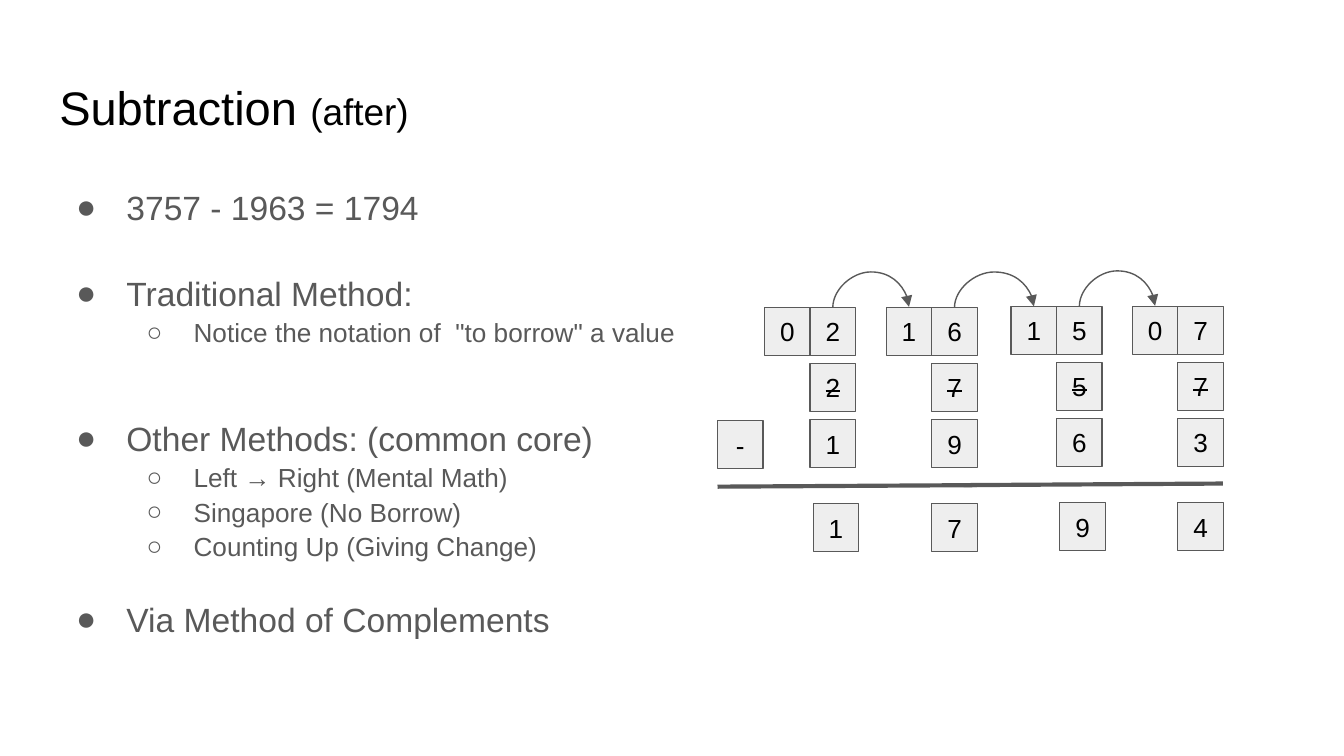
"""Build a slide showing column subtraction with borrowing."""
from dataclasses import dataclass
from itertools import pairwise

import pptx
import pptx.dml.color
import pptx.enum.shapes
import pptx.enum.text
import pptx.oxml
import pptx.oxml.ns
import pptx.util
from pptx.util import Cm

BLACK = pptx.dml.color.RGBColor(0x00, 0x00, 0x00)
GREY = pptx.dml.color.RGBColor(0x59, 0x59, 0x59)
LIGHT = pptx.dml.color.RGBColor(0xEE, 0xEE, 0xEE)
FONT = "Arial"
BOX_W, BOX_H = 0.86, 0.91
ROW_STEP, RESULT_DROP = 1.06, 3.71
ARC_RISE = 0.67


@dataclass
class Item:
    text: str
    level: int = 0
    gap: float = 0


@dataclass
class Column:
    left: float
    top: float
    borrow: str
    digit: str
    struck: str
    taken: str
    result: str
    shift: float = 0


ITEMS = [
    Item("3757 - 1963 = 1794"),
    Item("Traditional Method:", gap=22.7),
    Item('Notice the notation of  "to borrow" a value', 1),
    Item("Other Methods: (common core)", gap=35.4),
    Item("Left → Right (Mental Math)", 1),
    Item("Singapore (No Borrow)", 1),
    Item("Counting Up (Giving Change)", 1),
    Item("Via Method of Complements", gap=17.7),
]
COLUMNS = [
    Column(15.31, 5.81, "0", "2", "2", "1", "1", 0.06),
    Column(17.61, 5.81, "1", "6", "7", "9", "7"),
    Column(19.97, 5.79, "1", "5", "5", "6", "9", 0.06),
    Column(22.26, 5.79, "0", "7", "7", "3", "4"),
]


def style(r, size: float, color) -> None:
    r.font.name = FONT
    r.font.size = pptx.util.Pt(size)
    r.font.color.rgb = color


def set_frame(tf, anchor) -> None:
    tf.word_wrap = True
    tf.auto_size = pptx.enum.text.MSO_AUTO_SIZE.NONE
    tf.vertical_anchor = anchor
    tf.margin_left = tf.margin_right = tf.margin_top = tf.margin_bottom = Cm(0.25)


def add_xml(parent, xml: str) -> None:
    ns = pptx.oxml.ns.nsdecls("a")
    parent.append(pptx.oxml.parse_xml(xml.replace("/>", f" {ns}/>", 1)))


def add_title(s) -> None:
    sp = s.shapes.title
    sp.left, sp.top, sp.width, sp.height = Cm(0.87), Cm(1.24), Cm(23.67), Cm(1.59)
    set_frame(sp.text_frame, pptx.enum.text.MSO_ANCHOR.TOP)
    p = sp.text_frame.paragraphs[0]
    p.alignment = pptx.enum.text.PP_ALIGN.LEFT
    p.line_spacing = 1.0
    for text, size in (("Subtraction ", 25.2), ("(after)", 19.8)):
        r = p.add_run()
        r.text = text
        style(r, size, BLACK)


def add_list(s, items: list[Item]) -> None:
    sp = s.shapes.add_textbox(Cm(0.87), Cm(3.2), Cm(23.67), Cm(9.49))
    tf = sp.text_frame
    set_frame(tf, pptx.enum.text.MSO_ANCHOR.TOP)
    tf.text = "\n".join(item.text for item in items)
    for p, item in zip(tf.paragraphs, items):
        p.level = item.level
        p.line_spacing = 1.1
        p.space_before = pptx.util.Pt(item.gap)
        style(p.runs[0], 14 if item.level else 18, GREY)
        pPr = p._p.get_or_add_pPr()
        pPr.set("marL", str(Cm(1.27 * (item.level + 1))))
        pPr.set("indent", str(-Cm(0.89 if item.level else 0.95)))
        bullet_color = pptx.oxml.ns.qn("a:buClr")
        add_xml(pPr, "<a:buClr/>")
        add_xml(pPr.find(bullet_color), f'<a:srgbClr val="{GREY}"/>')
        add_xml(pPr, f'<a:buFont typeface="{FONT}"/>')
        add_xml(pPr, f'<a:buChar char="{"●○"[item.level]}"/>')


def add_box(s, left: float, top: float, text: str, struck: bool = False) -> None:
    sp = s.shapes.add_shape(
        pptx.enum.shapes.MSO_SHAPE.RECTANGLE, Cm(left), Cm(top), Cm(BOX_W), Cm(BOX_H))
    sp.shadow.inherit = False
    sp.fill.solid()
    sp.fill.fore_color.rgb = LIGHT
    sp.line.color.rgb = GREY
    sp.line.width = pptx.util.Pt(0.75)
    tf = sp.text_frame
    set_frame(tf, pptx.enum.text.MSO_ANCHOR.MIDDLE)
    tf.text = text
    p = tf.paragraphs[0]
    p.alignment = pptx.enum.text.PP_ALIGN.CENTER
    style(p.runs[0], 14, BLACK)
    if struck:
        p.runs[0]._r.get_or_add_rPr().set("strike", "sngStrike")


def add_line(s, kind, x1: float, y1: float, x2: float, y2: float, width: float):
    c = s.shapes.add_connector(kind, Cm(x1), Cm(y1), Cm(x2), Cm(y2))
    c.line.color.rgb = GREY
    c.line.width = pptx.util.Pt(width)
    add_xml(c._element.spPr, "<a:effectLst/>")
    return c


def add_arc(s, a: Column, b: Column) -> None:
    x1, x2 = a.left + BOX_W / 2, b.left - BOX_W / 2
    climb = max(a.top - b.top, 0.01)
    mid_x, mid_y = (x1 + x2) / 2, a.top - climb / 2
    half_w, half_h = climb / 2, (x2 - x1) / 2
    c = add_line(s, pptx.enum.shapes.MSO_CONNECTOR.CURVE, mid_x - half_w,
                 mid_y - half_h, mid_x + half_w, mid_y + half_h, 0.75)
    spPr = c._element.spPr
    spPr.find(pptx.oxml.ns.qn("a:xfrm")).set("rot", "16200000")
    guides = spPr.find(".//" + pptx.oxml.ns.qn("a:avLst"))
    bend = round(ARC_RISE / climb * 100000)
    add_xml(guides, f'<a:gd name="adj1" fmla="val {bend}"/>')
    add_xml(c.line._get_or_add_ln(), '<a:tailEnd type="triangle"/>')


def add_column(s, col: Column) -> None:
    add_box(s, col.left - BOX_W, col.top, col.borrow)
    add_box(s, col.left, col.top, col.digit)
    add_box(s, col.left, col.top + ROW_STEP, col.struck, struck=True)
    add_box(s, col.left, col.top + 2 * ROW_STEP, col.taken)
    add_box(s, col.left + col.shift, col.top + RESULT_DROP, col.result)


def main() -> None:
    prs = pptx.Presentation()
    prs.slide_width, prs.slide_height = Cm(25.4), Cm(14.29)
    s = prs.slides.add_slide(prs.slide_layouts[5])
    add_title(s)
    add_list(s, ITEMS)
    for col in COLUMNS:
        add_column(s, col)
    add_box(s, 13.56, 7.95, "-")
    straight = pptx.enum.shapes.MSO_CONNECTOR.STRAIGHT
    for x, y in ((13.56, 9.2), (18.21, 9.17)):
        add_line(s, straight, x, y, x + 4.9, y - 0.03, 2.25)
    for a, b in pairwise(COLUMNS):
        add_arc(s, a, b)
    prs.save("out.pptx")


if __name__ == "__main__":
    main()
